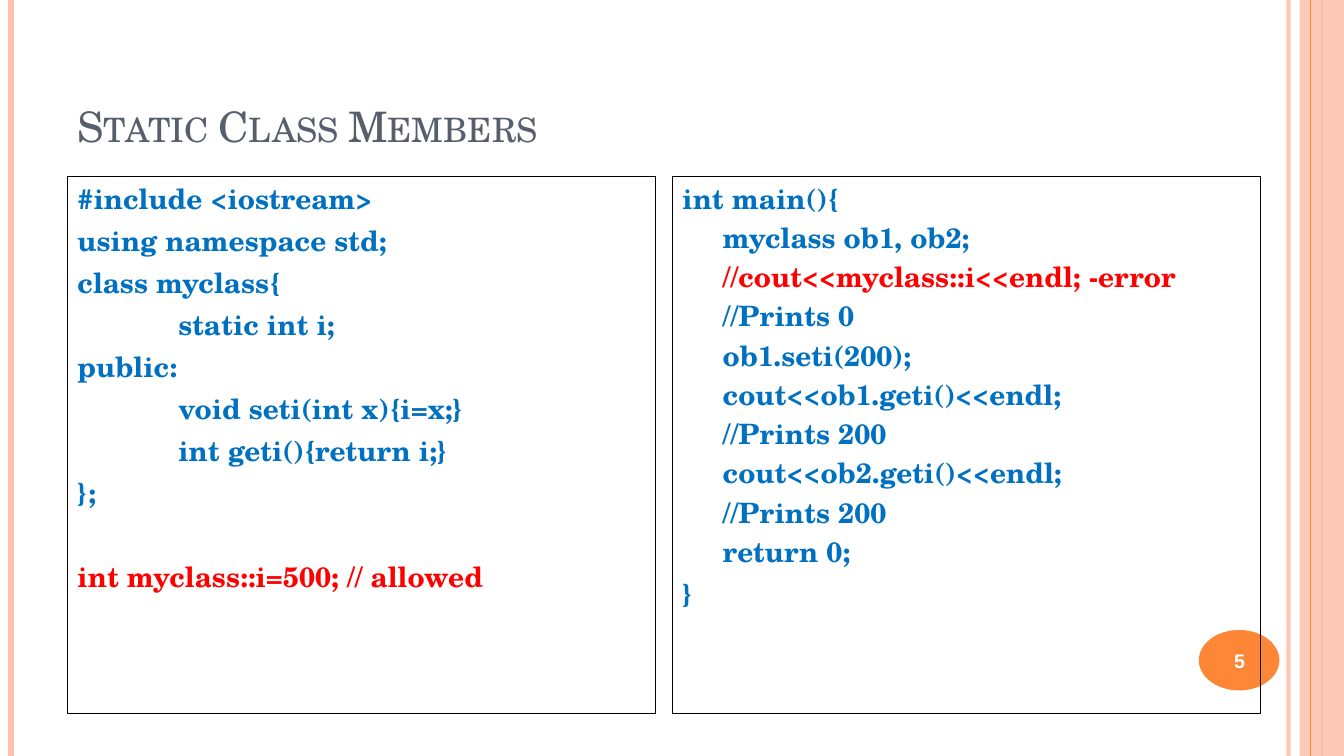
from lxml import etree
from pptx import Presentation
from pptx.dml.color import RGBColor
from pptx.enum.shapes import MSO_CONNECTOR, MSO_SHAPE
from pptx.enum.text import MSO_ANCHOR, PP_ALIGN
from pptx.oxml.ns import qn
from pptx.util import Inches, Pt

LINE = MSO_CONNECTOR.STRAIGHT
RECT, OVAL = MSO_SHAPE.RECTANGLE, MSO_SHAPE.OVAL
TOP, MIDDLE, BOTTOM = MSO_ANCHOR.TOP, MSO_ANCHOR.MIDDLE, MSO_ANCHOR.BOTTOM
LEFT, CENTER = PP_ALIGN.LEFT, PP_ALIGN.CENTER

SERIF, SANS = "TeX Gyre Schola", "Arial"
PEACH, ORANGE, SLATE = "FEC3AE", "FE8637", "575F6D"
BLUE, RED, BLACK, WHITE = "0070C0", "FF0000", "000000", "FFFFFF"

# Vertical rules: x, colour, width, opacity in percent
RULES = [
    (12.78, PEACH, 3, 93),
    (0.11, PEACH, 4.5, 100),
    (13.11, ORANGE, 1.5, 100),
    (13, ORANGE, 0.75, 100),
]

# Code lines: text, indent, space before, colour
CLASS_CODE = [
    ("#include <iostream>", 0, 6, BLUE),
    ("using namespace std;", 0, 6, BLUE),
    ("class myclass{", 0, 6, BLUE),
    ("static int i;", 1, 6, BLUE),
    ("public:", 0, 6, BLUE),
    ("void seti(int x){i=x;}", 1, 6, BLUE),
    ("int geti(){return i;}", 1, 6, BLUE),
    ("};", 0, 6, BLUE),
    ("int myclass::i=500; // allowed", 0, 36, RED),
]
MAIN_CODE = [
    ("int main(){", 0, 6, BLUE),
    ("myclass ob1, ob2;", 0.4, 4, BLUE),
    ("//cout<<myclass::i<<endl; -error", 0.4, 4, RED),
    ("//Prints 0", 0.4, 4, BLUE),
    ("ob1.seti(200);", 0.4, 4, BLUE),
    ("cout<<ob1.geti()<<endl;", 0.4, 4, BLUE),
    ("//Prints 200", 0.4, 4, BLUE),
    ("cout<<ob2.geti()<<endl;", 0.4, 4, BLUE),
    ("//Prints 200", 0.4, 4, BLUE),
    ("return 0;", 0.4, 4, BLUE),
    ("}", 0, 6, BLUE),
]


def paint(color, value, opacity=100):
    """Set a colour from a hex string, with optional opacity."""
    color.rgb = RGBColor.from_string(value)


def fade(shape, opacity):
    """Make the first colour of a shape partly transparent."""
    tint = shape._element.spPr.find(".//" + qn("a:srgbClr"))
    etree.SubElement(tint, qn("a:alpha")).set("val", str(opacity * 1000))


def add_rule(slide, x, color, width, opacity):
    rule = slide.shapes.add_connector(
        LINE, Inches(x), Inches(0), Inches(x), Inches(7.5))
    paint(rule.line.color, color)
    rule.line.width = Pt(width)
    etree.SubElement(rule._element.spPr, qn("a:effectLst"))
    if opacity < 100:
        fade(rule, opacity)


def add_shape(slide, kind, box, fill=None, line=None):
    shape = slide.shapes.add_shape(kind, *map(Inches, box))
    shape.shadow.inherit = False
    if fill:
        shape.fill.solid()
        paint(shape.fill.fore_color, fill)
    else:
        shape.fill.background()
    if line:
        paint(shape.line.color, line)
        shape.line.width = Pt(0.75)
    else:
        shape.line.fill.background()
    return shape


def style(par, size, color, face=SERIF, bold=False, align=LEFT):
    par.alignment = align
    font = par.font
    font.size, font.name, font.bold = Pt(size), face, bold
    paint(font.color, color)


def add_text(slide, box, text, anchor):
    frame = slide.shapes.add_textbox(*map(Inches, box)).text_frame
    frame.word_wrap = True
    frame.vertical_anchor = anchor
    par = frame.paragraphs[0]
    par.text = text
    return par


def add_code(slide, x, lines):
    frame = add_shape(slide, RECT, (x, 1.75, 5.83, 5.33), line=BLACK).text_frame
    frame.word_wrap = True
    frame.vertical_anchor = TOP
    for n, (text, indent, gap, color) in enumerate(lines):
        par = frame.add_paragraph() if n else frame.paragraphs[0]
        par.text = text
        par.space_before = Pt(gap)
        style(par, 20, color, bold=True)
        props = par._p.get_or_add_pPr()
        props.set("marL", str(Inches(indent)))
        props.set("indent", "0")


def main():
    deck = Presentation()
    deck.slide_width, deck.slide_height = Inches(13.33), Inches(7.5)
    slide = deck.slides.add_slide(deck.slide_layouts[6])

    # Side decoration: the band lies below the last rule
    for rule in RULES[:-1]:
        add_rule(slide, *rule)
    band = add_shape(slide, RECT, (12.89, 0, 0.44, 7.5), fill=PEACH)
    fade(band, 87)
    add_rule(slide, *RULES[-1])
    add_shape(slide, OVAL, (11.89, 6.25, 0.8, 0.6), fill=ORANGE)

    # Title in small capitals
    title = add_text(slide, (0.67, 0.3, 11.22, 1.25),
                     "Static Class Members", BOTTOM)
    style(title, 30, SLATE)
    title.runs[0]._r.get_or_add_rPr().set("cap", "small")

    # Code panels and slide number
    add_code(slide, 0.67, CLASS_CODE)
    number = add_text(slide, (11.85, 6.27, 0.89, 0.57), "5", MIDDLE)
    style(number, 14, WHITE, SANS, True, CENTER)
    add_code(slide, 6.67, MAIN_CODE)

    deck.save("out.pptx")


if __name__ == "__main__":
    main()
